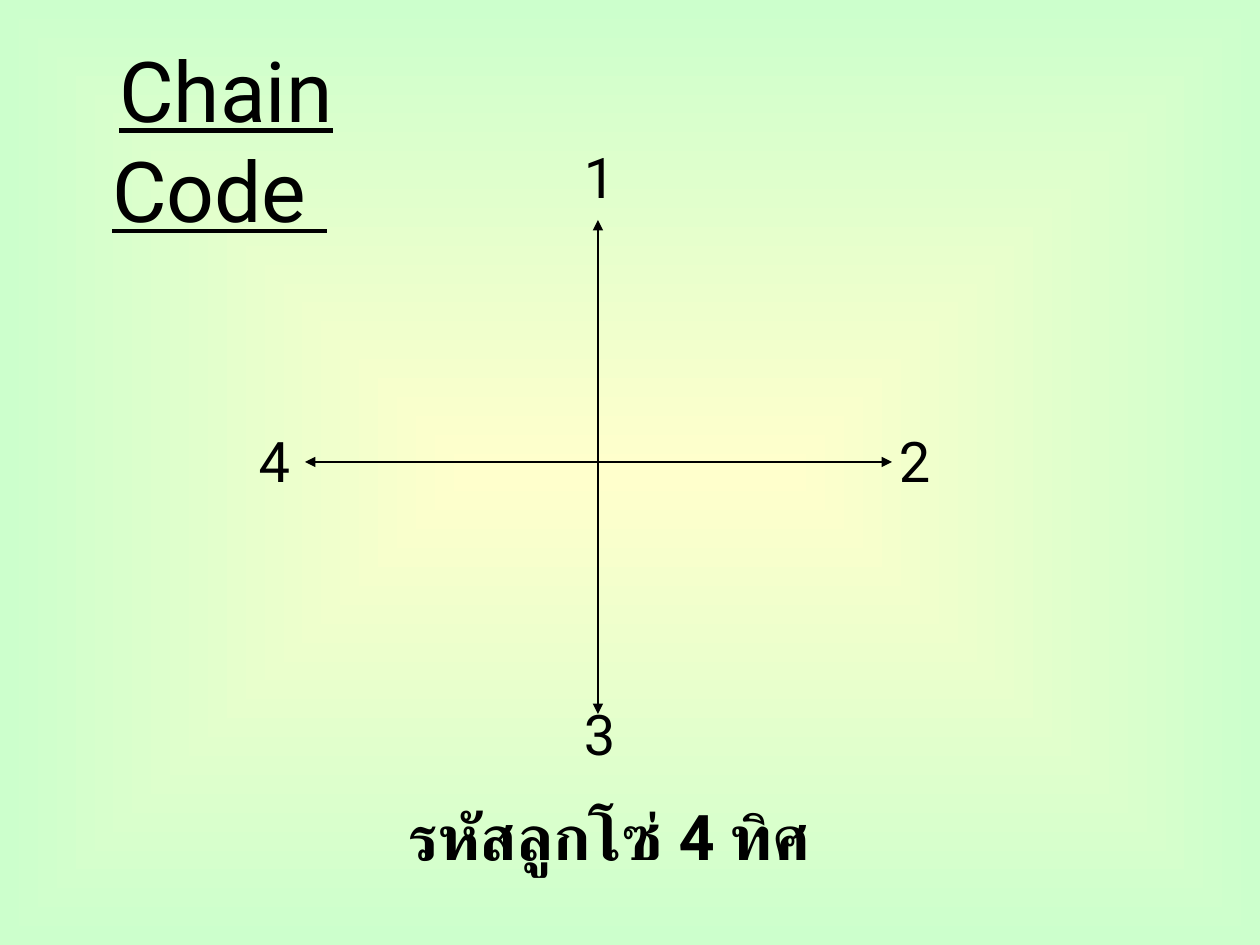
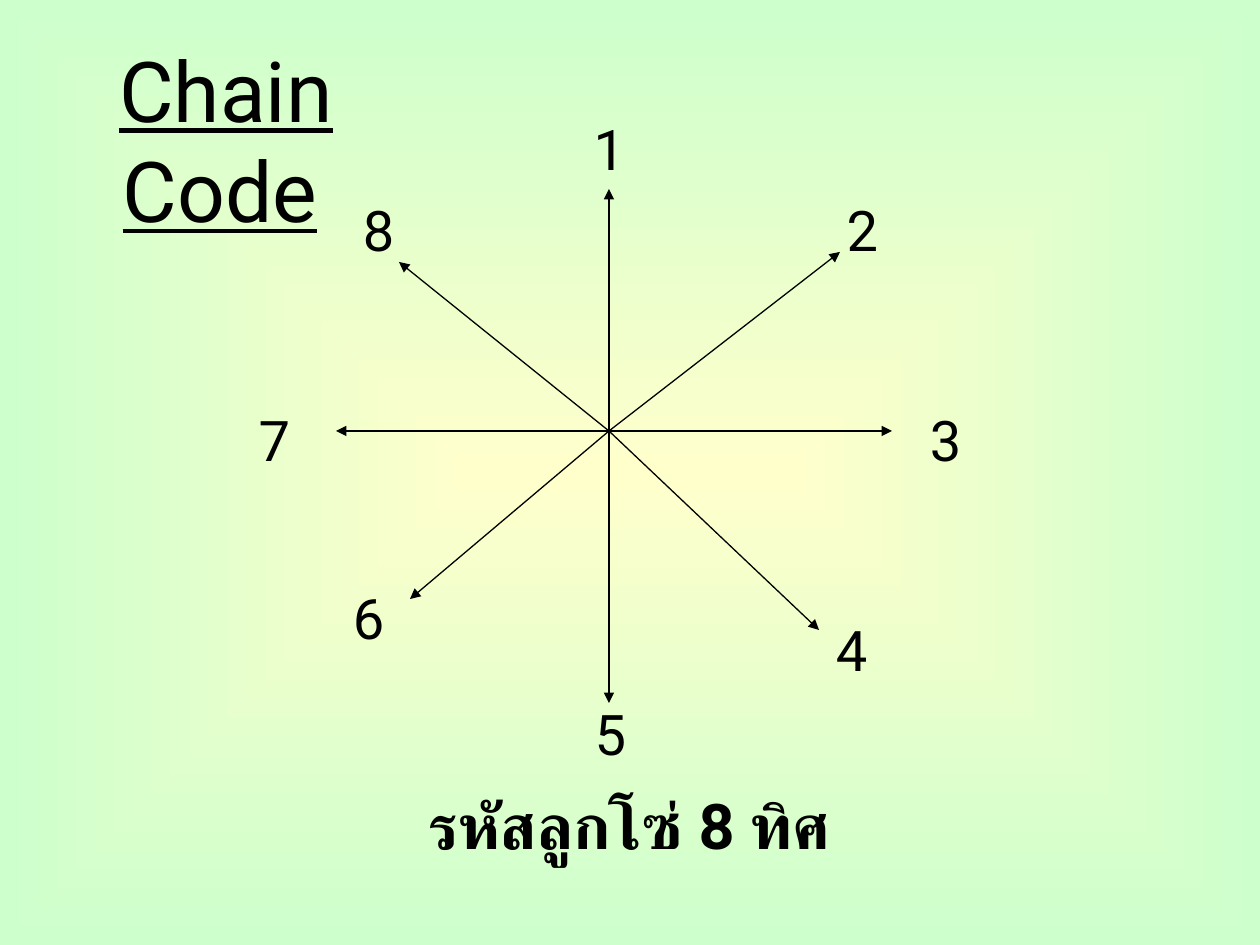
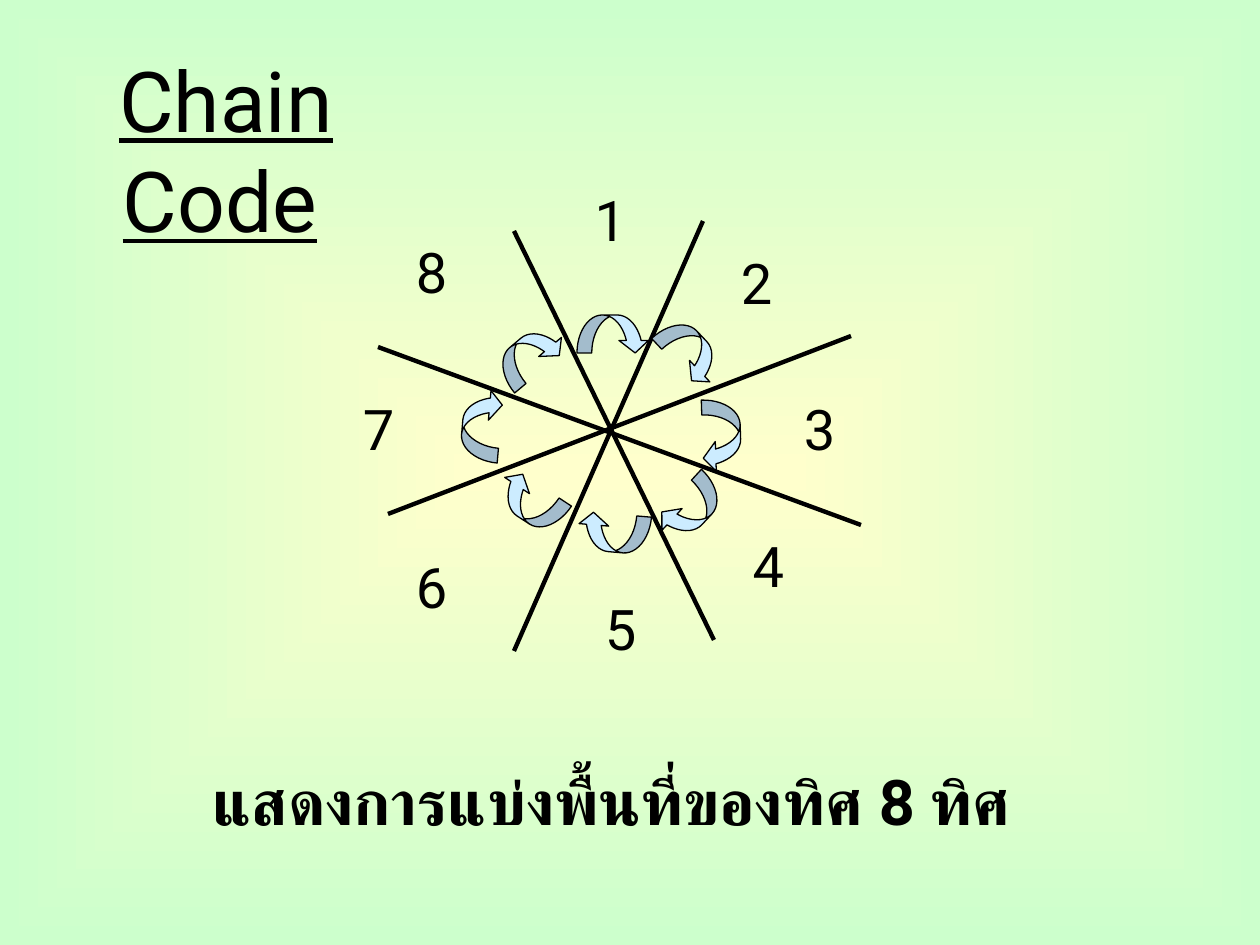
from dataclasses import dataclass

from lxml import etree
from pptx import Presentation
from pptx.dml.color import RGBColor
from pptx.enum.shapes import MSO_CONNECTOR, MSO_SHAPE
from pptx.enum.text import MSO_ANCHOR, MSO_AUTO_SIZE, PP_ALIGN
from pptx.oxml.ns import qn
from pptx.util import Emu, Pt

STRAIGHT = MSO_CONNECTOR.STRAIGHT
CURVED_ARROW = MSO_SHAPE.CURVED_DOWN_ARROW
TOP, MIDDLE = MSO_ANCHOR.TOP, MSO_ANCHOR.MIDDLE
CENTER = PP_ALIGN.CENTER
FIXED_SIZE = MSO_AUTO_SIZE.NONE
EMU_PER_PX = 914400 / 126
TITLE_ONLY = 5


@dataclass(frozen=True)
class Theme:
    font: str = "Roboto"
    ink: RGBColor = RGBColor(0x00, 0x00, 0x00)
    center: RGBColor = RGBColor(0xFF, 0xFF, 0xCC)
    edge: RGBColor = RGBColor(0xCC, 0xFF, 0xCC)
    arrow: RGBColor = RGBColor(0xCC, 0xEC, 0xFF)
    heading_size: int = 48
    heading_gap_size: int = 28
    caption_size: int = 36
    label_size: int = 32
    thin_line: float = 0.75
    thick_line: float = 2.5


@dataclass(frozen=True)
class Box:
    left: int
    top: int
    width: int
    height: int

    def point(self, x, y):
        return self.left + x, self.top + y

    def inner(self, x, y, width, height):
        return Box(*self.point(x, y), width, height)

    def emu(self):
        return [px(value) for value in (self.left, self.top, self.width, self.height)]


THEME = Theme()
LABEL_WIDTH, LABEL_HEIGHT = 57, 81
ARROW_WIDTH, ARROW_HEIGHT = 73, 38
ARROW_ADJUSTMENTS = (0.39, 0.78, 0.33)

FOUR_WAY = {
    "1": ((325, 0), (352, 84)),
    "2": ((640, 284), (646, 326)),
    "3": ((325, 557), (352, 578)),
    "4": ((0, 284), (59, 326)),
}
EIGHT_WAY = {
    "1": ((335, 0), (363, 81)),
    "2": ((588, 81), (594, 144)),
    "3": ((671, 291), (646, 323)),
    "4": ((577, 501), (573, 522)),
    "5": ((336, 585), (363, 595)),
    "6": ((94, 469), (164, 491)),
    "7": ((0, 291), (90, 323)),
    "8": ((104, 81), (153, 154)),
}
SECTORS = {
    "1": ((232, 0), (227, 136), 0),
    "2": ((378, 63), (304, 154), 46.6),
    "3": ((441, 209), (335, 238), 88),
    "4": ((390, 346), (304, 311), 132.9),
    "5": ((242, 409), (227, 335), 184.9),
    "6": ((53, 367), (144, 304), 213.2),
    "7": ((0, 209), (95, 227), 275.1),
    "8": ((53, 52), (144, 157), 320),
}
DIVIDERS = (
    ((164, 52), (364, 461)),
    ((28, 168), (511, 346)),
    ((38, 335), (501, 157)),
    ((164, 472), (353, 42)),
)


def px(value):
    return Emu(round(value * EMU_PER_PX))


def set_background(master):
    fill = master.background.fill
    fill.gradient()
    for stop, color in zip(fill.gradient_stops, (THEME.center, THEME.edge)):
        stop.color.rgb = color
    gradient = master.element.find(".//" + qn("a:gradFill"))
    gradient.remove(gradient.find(qn("a:lin")))
    shade = etree.SubElement(gradient, qn("a:path"), {"path": "rect"})
    sides = {side: "50000" for side in "ltrb"}
    etree.SubElement(shade, qn("a:fillToRect"), sides)


def add_run(paragraph, text, size, bold=False, underline=False):
    run = paragraph.add_run()
    run.text = text
    font = run.font
    font.name = THEME.font
    font.size = Pt(size)
    font.bold = bold
    font.underline = underline
    font.color.rgb = THEME.ink
    etree.SubElement(font._element, qn("a:cs"), {"typeface": THEME.font})


def add_text_box(slide, box, wrap):
    frame = slide.shapes.add_textbox(*box.emu()).text_frame
    frame.word_wrap = wrap
    paragraph = frame.paragraphs[0]
    paragraph.alignment = CENTER
    return paragraph


def add_heading(slide, box, text):
    paragraph = add_text_box(slide, box, wrap=True)
    add_run(paragraph, text, THEME.heading_size, underline=True)
    add_run(paragraph, " ", THEME.heading_gap_size)


def add_caption(slide, box, text, anchor):
    title = slide.shapes.title
    title.left, title.top, title.width, title.height = box.emu()
    frame = title.text_frame
    frame.word_wrap = True
    frame.auto_size = FIXED_SIZE
    frame.vertical_anchor = anchor
    paragraph = frame.paragraphs[0]
    paragraph.alignment = CENTER
    add_run(paragraph, text, THEME.caption_size, bold=True)


def add_label(slide, box, position, text):
    label_box = box.inner(*position, LABEL_WIDTH, LABEL_HEIGHT)
    add_run(add_text_box(slide, label_box, wrap=False), text, THEME.label_size)


def add_line(shapes, box, start, end, width, arrow=False):
    ends = [px(value) for value in box.point(*start) + box.point(*end)]
    connector = shapes.add_connector(STRAIGHT, *ends)
    connector.line.color.rgb = THEME.ink
    connector.line.width = Pt(width)
    properties = connector._element.spPr
    if arrow:
        outline = properties.find(qn("a:ln"))
        etree.SubElement(outline, qn("a:tailEnd"), {"type": "triangle"})
    etree.SubElement(properties, qn("a:effectLst"))


def add_turn_arrow(slide, box, position, rotation):
    arrow_box = box.inner(*position, ARROW_WIDTH, ARROW_HEIGHT)
    shape = slide.shapes.add_shape(CURVED_ARROW, *arrow_box.emu())
    for index, value in enumerate(ARROW_ADJUSTMENTS):
        shape.adjustments[index] = value
    shape.rotation = rotation
    shape.shadow.inherit = False
    shape.fill.solid()
    shape.fill.fore_color.rgb = THEME.arrow
    shape.line.color.rgb = THEME.ink
    shape.line.width = Pt(THEME.thin_line)


def draw_compass(slide, box, hub, directions):
    for text, (position, tip) in directions.items():
        add_label(slide, box, position, text)
        add_line(slide.shapes, box, hub, tip, THEME.thin_line, arrow=True)


def draw_sector_wheel(slide, box):
    dividers = slide.shapes.add_group_shape()
    for start, end in DIVIDERS:
        add_line(dividers.shapes, box, start, end, THEME.thick_line)
    for text, (position, arrow_position, rotation) in SECTORS.items():
        add_label(slide, box, position, text)
        add_turn_arrow(slide, box, arrow_position, rotation)


def add_chain_slide(presentation, heading, heading_top, caption, caption_box, anchor=MIDDLE):
    slide = presentation.slides.add_slide(presentation.slide_layouts[TITLE_ONLY])
    add_heading(slide, Box(42, heading_top, 368, 214), heading)
    add_caption(slide, caption_box, caption, anchor)
    return slide


def main():
    presentation = Presentation()
    presentation.slide_width, presentation.slide_height = px(1260), px(945)
    set_background(presentation.slide_master)

    slide = add_chain_slide(
        presentation, "Chain Code ", 32, "รหัสลูกโซ่ 4 ทิศ", Box(284, 788, 651, 94)
    )
    draw_compass(slide, Box(246, 136, 697, 638), (352, 326), FOUR_WAY)

    slide = add_chain_slide(
        presentation, "Chain Code", 32, "รหัสลูกโซ่ 8 ทิศ", Box(325, 766, 609, 116)
    )
    draw_compass(slide, Box(246, 108, 728, 666), (363, 323), EIGHT_WAY)

    slide = add_chain_slide(
        presentation,
        "Chain Code",
        42,
        "แสดงการแบ่งพื้นที่ของทิศ 8 ทิศ",
        Box(199, 756, 825, 88),
        TOP,
    )
    draw_sector_wheel(slide, Box(350, 179, 511, 490))

    presentation.save("out.pptx")


if __name__ == "__main__":
    main()
